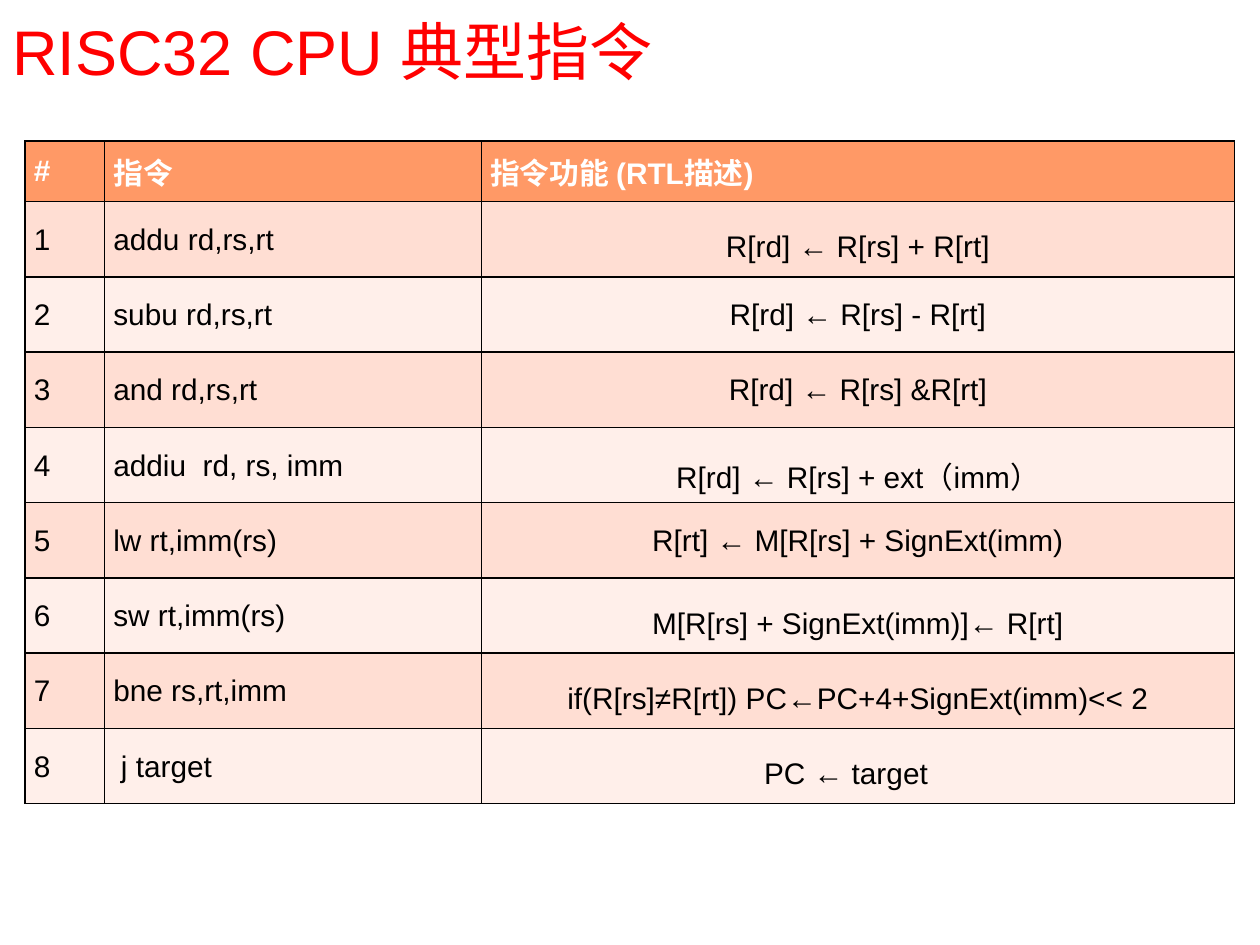
from lxml import etree
from pptx import Presentation
from pptx.dml.color import RGBColor
from pptx.enum.text import MSO_ANCHOR, PP_ALIGN
from pptx.oxml.ns import qn
from pptx.util import Inches, Pt

MID, TOP = MSO_ANCHOR.MIDDLE, MSO_ANCHOR.TOP
LEFT, CENTER = PP_ALIGN.LEFT, PP_ALIGN.CENTER
FONT = "Arial"
HUES = {"title": "FF0000", "head": "FF9966", "odd": "FFDED3",
        "even": "FFEFEA", "text": "000000", "white": "FFFFFF", "line": "000000"}

WIDTHS = (0.63, 2.99, 5.98)
HEAD_H = 0.48
HEADS = ("#", "指令", "指令功能 (RTL描述)")
# Instruction, function, anchor of the function cell
CODES = [
    ("addu rd,rs,rt", "R[rd] ← R[rs] + R[rt]", MID),
    ("subu rd,rs,rt", "R[rd] ← R[rs] - R[rt]", TOP),
    ("and rd,rs,rt", "R[rd] ← R[rs] &R[rt]", TOP),
    ("addiu  rd, rs, imm", "R[rd] ← R[rs] + ext（imm）", TOP),
    ("lw rt,imm(rs)", "R[rt] ← M[R[rs] + SignExt(imm)", TOP),
    ("sw rt,imm(rs)", "M[R[rs] + SignExt(imm)]← R[rt]", MID),
    ("bne rs,rt,imm", "if(R[rs]≠R[rt]) PC←PC+4+SignExt(imm)<< 2", MID),
    ("j target", "PC ← target", MID),
]
PLAIN = {"left": 0.07, "top": 0.04, "right": 0.07, "bottom": 0.04}
TIGHT = {"left": 0.06, "top": 0, "right": 0.06, "bottom": 0}


def style(run, hue, size, bold=False):
    form = {"name": FONT, "size": Pt(size), "bold": bold}
    for key, val in form.items():
        setattr(run.font, key, val)
    run.font.color.rgb = RGBColor.from_string(HUES[hue])


def frame(cell):
    """Draw a thin line on all four sides of a cell."""
    props = cell._tc.get_or_add_tcPr()
    for side in ("a:lnL", "a:lnR", "a:lnT", "a:lnB"):
        line = etree.SubElement(props, qn(side), w=str(Pt(1)))
        fill = etree.SubElement(line, qn("a:solidFill"))
        etree.SubElement(fill, qn("a:srgbClr"), val=HUES["line"])


def fill_cell(cell, text, fill, hue="text", bold=False, anchor=TOP,
              align=LEFT, space=1.5, inset=PLAIN):
    frame(cell)
    cell.fill.solid()
    cell.fill.fore_color.rgb = RGBColor.from_string(HUES[fill])
    cell.vertical_anchor = anchor
    for side, gap in inset.items():
        setattr(cell, f"margin_{side}", Inches(gap))
    para = cell.text_frame.paragraphs[0]
    para.alignment = align
    para.line_spacing = space
    run = para.add_run()
    run.text = text
    style(run, hue, 17, bold)


def add_title(slide, box):
    shape = slide.shapes.add_textbox(*map(Inches, box))
    body = shape.text_frame
    body.word_wrap = True
    body.vertical_anchor = MID
    run = body.paragraphs[0].add_run()
    run.text = "RISC32 CPU 典型指令"
    style(run, "title", 36)


def add_codes(slide, box):
    shape = slide.shapes.add_table(len(CODES) + 1, len(WIDTHS), *map(Inches, box))
    table = shape.table
    table.first_row = table.horz_banding = False
    for col, width in zip(table.columns, WIDTHS):
        col.width = Inches(width)
    row_h = (box[3] - HEAD_H) / len(CODES)
    for num, row in enumerate(table.rows):
        row.height = Inches(row_h if num else HEAD_H)

    # Header row
    for col, text in enumerate(HEADS):
        fill_cell(table.cell(0, col), text, "head", "white", True, MID, space=1)

    # Instruction rows; the last one is nudged by its insets
    for num, (code, work, anchor) in enumerate(CODES, 1):
        last = num == len(CODES)
        fill = "odd" if num % 2 else "even"
        inset = PLAIN if anchor == TOP else TIGHT
        fill_cell(table.cell(num, 0), str(num), fill)
        fill_cell(table.cell(num, 1), code, fill,
                  inset={**PLAIN, "left": 0.13} if last else PLAIN)
        fill_cell(table.cell(num, 2), work, fill, anchor=anchor, align=CENTER,
                  inset={**inset, "right": 0.25} if last else inset)


def main():
    deck = Presentation()
    deck.slide_width, deck.slide_height = Inches(10), Inches(7.5)
    slide = deck.slides.add_slide(deck.slide_layouts[6])
    add_title(slide, (0, 0, 8.54, 0.8))
    add_codes(slide, (0.2, 1.12, 9.6, 5.26))
    deck.save("out.pptx")


if __name__ == "__main__":
    main()
